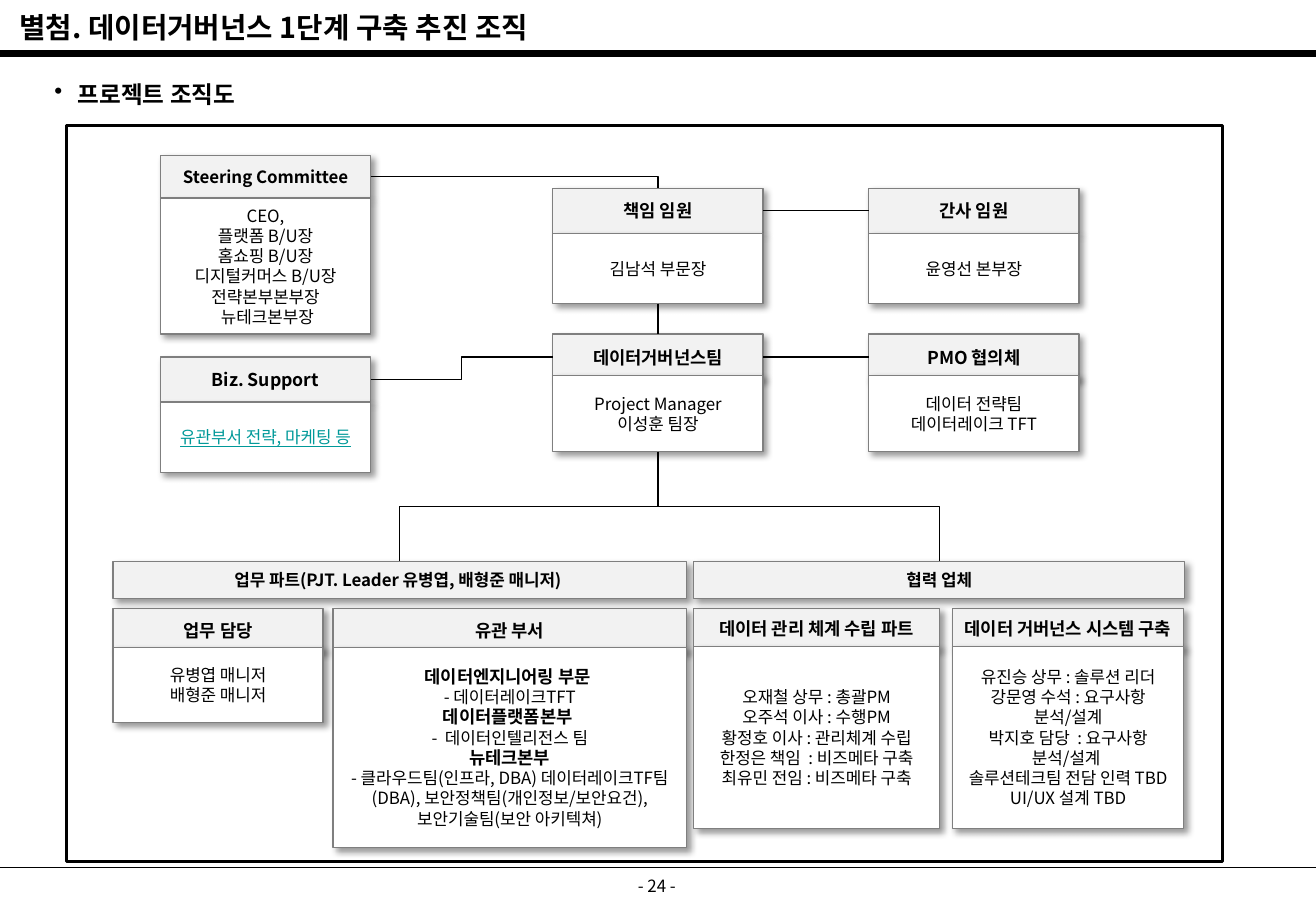
from dataclasses import dataclass

from lxml.etree import SubElement
from pptx import Presentation
from pptx.dml.color import RGBColor
from pptx.enum.shapes import MSO_CONNECTOR, MSO_SHAPE
from pptx.enum.text import MSO_ANCHOR, MSO_AUTO_SIZE, PP_ALIGN
from pptx.oxml.ns import qn
from pptx.util import Inches, Pt


@dataclass(frozen=True)
class Theme:
    """Hold the colours, font and type sizes of the slide."""
    font: str = "Noto Sans CJK KR"
    ink: str = "000000"
    paper: str = "FFFFFF"
    header: str = "F2F2F2"
    border: str = "7F7F7F"
    link: str = "009999"
    title: float = 17
    subtitle: float = 14
    heading: float = 10.5
    body: float = 10
    leading: float = 1.2


@dataclass(frozen=True)
class Card:
    """Describe one unit: a header box above a body box."""
    title: str
    left: float
    top: float
    width: float
    header: float
    body_top: float
    body: float
    lines: tuple
    size: float = 10.5


THEME = Theme()
DEPARTMENTS = ("데이터엔지니어링 부문", "데이터플랫폼본부", "뉴테크본부")
CARDS = {
    "steering": Card("Steering Committee", 1.32, 1.28, 1.73, 0.35, 1.63, 1.12, (
        "CEO,", "플랫폼 B/U장", "홈쇼핑 B/U장", "디지털커머스 B/U장",
        "전략본부본부장", " 뉴테크본부장"), THEME.body),
    "support": Card("Biz. Support", 1.32, 2.94, 1.73, 0.37, 3.31, 0.58,
                    ("유관부서 전략, 마케팅 등",)),
    "executive": Card("책임 임원", 4.55, 1.55, 1.73, 0.37, 1.92, 0.58, ("김남석 부문장",)),
    "secretary": Card("간사 임원", 7.15, 1.55, 1.73, 0.37, 1.92, 0.58, ("윤영선 본부장",)),
    "team": Card("데이터거버넌스팀", 4.55, 2.75, 1.73, 0.38, 3.09, 0.63,
                 ("Project Manager", "이성훈 팀장")),
    "council": Card("PMO 협의체", 7.15, 2.75, 1.73, 0.38, 3.09, 0.63,
                    ("데이터 전략팀", "데이터레이크 TFT")),
    "staff": Card("업무 담당", 0.93, 5.01, 1.73, 0.36, 5.33, 0.62,
                  ("유병엽 매니저", "배형준 매니저")),
    "departments": Card("유관 부서", 2.74, 5.01, 2.91, 0.36, 5.33, 1.65, (
        "데이터엔지니어링 부문 \v- 데이터레이크TFT",
        "데이터플랫폼본부 \v-  데이터인텔리전스 팀",
        "뉴테크본부",
        "- 클라우드팀(인프라, DBA) 데이터레이크TF팀(DBA), "
        "보안정책팀(개인정보/보안요건),\v보안기술팀(보안 아키텍쳐)")),
    "management": Card("데이터 관리 체계 수립 파트", 5.71, 5.01, 2.02, 0.33, 5.32, 1.5, (
        "오재철 상무 : 총괄PM", "오주석 이사 : 수행PM", "황정호 이사 : 관리체계 수립",
        "한정은 책임  : 비즈메타 구축", "최유민 전임 : 비즈메타 구축")),
    "system": Card("데이터 거버넌스 시스템 구축", 7.84, 5.01, 1.9, 0.33, 5.32, 1.5, (
        "유진승 상무 : 솔루션 리더", "강문영 수석 : 요구사항 분석/설계",
        "박지호 담당  : 요구사항 분석/설계 ", "솔루션테크팀 전담 인력 TBD",
        "UI/UX 설계 TBD")),
}


def color(value):
    """Turn a hex string into a colour."""
    return RGBColor.from_string(value)


def format_span(span, size, bold=False, ink=THEME.ink):
    """Give a run its font, size, weight and colour."""
    span.font.name = THEME.font
    span.font.size = Pt(size)
    span.font.bold = bold
    span.font.color.rgb = color(ink)
    east_asian = SubElement(span.font._element, qn("a:ea"))
    east_asian.set("typeface", THEME.font)


def write(frame, text, size, bold=False, align=PP_ALIGN.CENTER):
    """Fill a text frame and format all of its runs."""
    frame.text = text
    frame.word_wrap = True
    frame.auto_size = MSO_AUTO_SIZE.NONE
    frame.vertical_anchor = MSO_ANCHOR.MIDDLE
    for para in frame.paragraphs:
        para.alignment = align
        para.line_spacing = Pt(size * THEME.leading)
        for span in para.runs:
            format_span(span, size, bold)


def add_box(slide, area, fill, border=THEME.border, weight=0.75):
    """Add a flat rectangle with a fill and a border."""
    box = slide.shapes.add_shape(MSO_SHAPE.RECTANGLE, *map(Inches, area))
    box.fill.solid()
    box.fill.fore_color.rgb = color(fill)
    box.line.color.rgb = color(border)
    box.line.width = Pt(weight)
    box.shadow.inherit = False
    return box


def add_panel(slide, area, fill, text, size, bold=False):
    """Add a text rectangle with narrow margins and a soft shadow."""
    box = add_box(slide, area, fill)
    effects = box._element.spPr.find(qn("a:effectLst"))
    shadow = SubElement(effects, qn("a:outerShdw"), blurRad=str(Pt(4)), dist=str(Pt(3)),
                        dir="2700000", algn="tl", rotWithShape="0")
    shade = SubElement(shadow, qn("a:srgbClr"), val=THEME.ink)
    SubElement(shade, qn("a:alpha"), val="40000")
    frame = box.text_frame
    frame.margin_left = frame.margin_right = Inches(0.04)
    frame.margin_top = frame.margin_bottom = Inches(0.04)
    write(frame, text, size, bold)
    return box


def add_card(slide, card):
    """Add a card and return its header and body."""
    header = add_panel(slide, (card.left, card.top, card.width, card.header),
                       THEME.header, card.title, card.size, True)
    body = add_panel(slide, (card.left, card.body_top, card.width, card.body),
                     THEME.paper, "\n".join(card.lines), THEME.body)
    return header, body


def add_line(slide, start, end, weight=0.75, kind=MSO_CONNECTOR.STRAIGHT):
    """Add a black connector between two points."""
    line = slide.shapes.add_connector(kind, *start, *end)
    line.line.color.rgb = color(THEME.ink)
    line.line.width = Pt(weight)
    SubElement(line._element.spPr, qn("a:effectLst"))
    return line


def join(slide, first, first_side, second, second_side, kind=MSO_CONNECTOR.STRAIGHT):
    """Connect the sides of two boxes."""
    line = add_line(slide, (0, 0), (0, 0), kind=kind)
    line.begin_connect(first, first_side)
    line.end_connect(second, second_side)
    return line


def add_branch(slide, parent, child):
    """Add a down-across-down elbow from a parent to a child."""
    start_x, start_y = parent.left + parent.width // 2, parent.top + parent.height
    end_x, end_y = child.left + child.width // 2, child.top
    center_x, center_y = (start_x + end_x) // 2, (start_y + end_y) // 2
    half_x, half_y = (end_x - start_x) // 2, (end_y - start_y) // 2
    line = add_line(slide, (center_x - half_y, center_y + half_x),
                    (center_x + half_y, center_y - half_x), kind=MSO_CONNECTOR.ELBOW)
    line._element.spPr.find(qn("a:xfrm")).set("rot", "5400000")


def add_text(slide, area, text, size, bold=False, align=PP_ALIGN.CENTER):
    """Add a text box and return its first paragraph."""
    box = slide.shapes.add_textbox(*map(Inches, area))
    write(box.text_frame, text, size, bold, align)
    return box.text_frame.paragraphs[0]


def add_heading(slide):
    """Place the title and the bulleted subtitle."""
    title = slide.shapes.title
    title.left, title.top, title.width, title.height = map(Inches, (0.06, 0.03, 10.48, 0.39))
    write(title.text_frame, "별첨. 데이터거버넌스 1단계 구축 추진 조직",
          THEME.title, True, PP_ALIGN.LEFT)
    para = add_text(slide, (0.35, 0.6, 9.15, 0.35), "프로젝트 조직도",
                    THEME.subtitle, True, PP_ALIGN.LEFT)
    properties = para._p.get_or_add_pPr()
    properties.set("marL", str(Inches(0.19)))
    properties.set("indent", str(Inches(-0.19)))
    SubElement(properties, qn("a:buChar"), char="•")


def main():
    """Build the organisation chart slide."""
    deck = Presentation()
    deck.slide_width, deck.slide_height = Inches(10.83), Inches(7.5)
    page = deck.slides.add_slide(deck.slide_layouts[5])
    for height, weight in ((7.14, 0.75), (0.44, 4.5)):
        add_line(page, (0, Inches(height)), (deck.slide_width, Inches(height)), weight)
    add_heading(page)
    add_box(page, (0.55, 1.03, 9.51, 6.06), THEME.paper, THEME.ink, 1.75)

    units = {name: add_card(page, card) for name, card in CARDS.items()}
    headers = {name: header for name, (header, body) in units.items()}
    bodies = {name: body for name, (header, body) in units.items()}
    for para in bodies["departments"].text_frame.paragraphs:
        for span in para.runs:
            if span.text.strip() in DEPARTMENTS:
                span.font.size, span.font.bold = Pt(THEME.heading), True
    link = bodies["support"].text_frame.paragraphs[0].runs[0]
    link.font.color.rgb, link.font.underline = color(THEME.link), True

    for left, width, text in ((0.93, 4.72, "업무 파트(PJT. Leader 유병엽, 배형준 매니저) "),
                              (5.71, 4.04, "협력 업체")):
        group = add_panel(page, (left, 4.62, width, 0.31), THEME.header, text, THEME.body, True)
        add_branch(page, bodies["team"], group)
    join(page, headers["executive"], 3, headers["secretary"], 1)
    join(page, headers["team"], 3, headers["council"], 1)
    join(page, bodies["executive"], 2, headers["team"], 0)
    join(page, headers["support"], 3, headers["team"], 1, MSO_CONNECTOR.ELBOW)
    corner = join(page, headers["steering"], 3, headers["executive"], 0, MSO_CONNECTOR.ELBOW)
    corner._element.spPr.find(qn("a:prstGeom")).set("prst", "bentConnector2")
    add_text(page, (4.14, 7.13, 2.53, 0.33), "- 24 -", THEME.body)
    deck.save("out.pptx")


if __name__ == "__main__":
    main()
